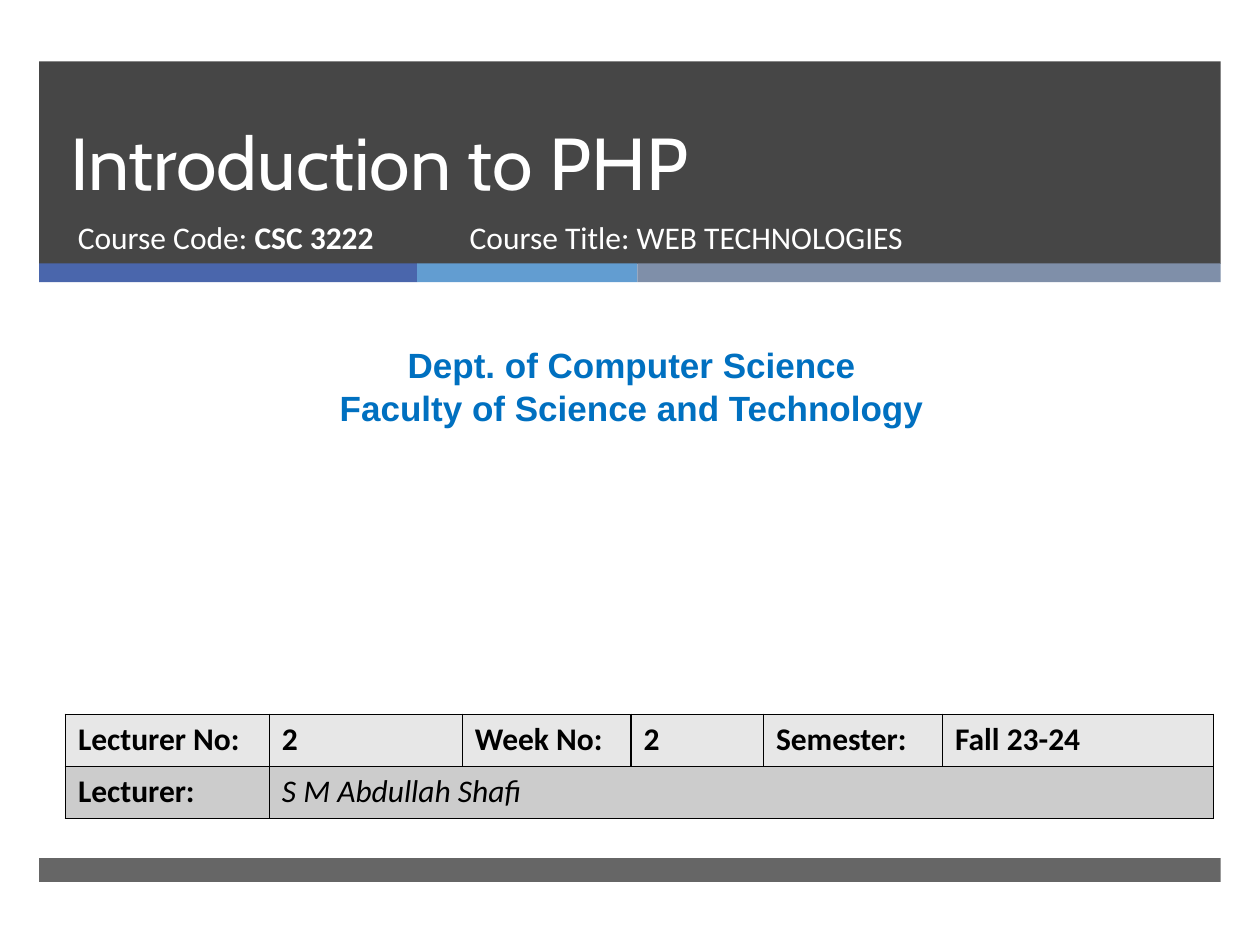
from itertools import accumulate
from typing import NamedTuple

from lxml.etree import SubElement as Sub
from pptx import Presentation
from pptx.dml.color import RGBColor as Rgb
from pptx.enum.shapes import MSO_SHAPE as Kind
from pptx.enum.text import MSO_ANCHOR as Anchor, PP_ALIGN as Align
from pptx.oxml.ns import qn
from pptx.util import Cm, Pt

HUES = {
    "dark": "262626", "blue": "4A66AC", "sky": "629DD1", "slate": "7F8FA9",
    "white": "FFFFFF", "azure": "0070C0", "black": "000000",
    "light": "E7E7E7", "gray": "CCCCCC",
}
LEFT, WIDTH = 0.79, 23.82


class Bar(NamedTuple):
    left: float
    top: float
    width: float
    height: float
    hue: str
    alpha: int = 100


class Run(NamedTuple):
    text: str
    bold: bool = False


class Label(NamedTuple):
    left: float
    top: float
    width: float
    height: float
    lines: list[list[Run]]
    font: str
    size: int
    hue: str = "white"
    align: Align = Align.LEFT
    anchor: Anchor = Anchor.TOP
    space: int | None = None


def color(hue: str) -> Rgb:
    return Rgb.from_string(HUES[hue])


def style(font, name: str, size: int, hue: str) -> None:
    font.name, font.size = name, Pt(size)
    font.color.rgb = color(hue)


def draw_bar(slide, bar: Bar) -> None:
    shape = slide.shapes.add_shape(Kind.RECTANGLE, *map(Cm, bar[:4]))
    shape.shadow.inherit = False
    shape.line.fill.background()
    shape.fill.solid()
    shape.fill.fore_color.rgb = color(bar.hue)
    if bar.alpha < 100:
        tint = shape.fill._xPr.find(".//" + qn("a:srgbClr"))
        Sub(tint, qn("a:alpha"), val=str(bar.alpha * 1000))


def draw_label(slide, label: Label) -> None:
    frame = slide.shapes.add_textbox(*map(Cm, label[:4])).text_frame
    frame.word_wrap = True
    frame.vertical_anchor = label.anchor
    for i, line in enumerate(label.lines):
        para = frame.add_paragraph() if i else frame.paragraphs[0]
        para.alignment = label.align
        if label.space:
            para.line_spacing = Pt(label.space)
        style(para.font, label.font, label.size, label.hue)
        for part in line:
            run = para.add_run()
            run.text, run.font.bold = part.text, part.bold


def draw_edges(cell) -> None:
    props = cell._tc.get_or_add_tcPr()
    for side in "LRTB":
        edge = Sub(props, qn(f"a:ln{side}"), w=str(Pt(1)))
        fill = Sub(edge, qn("a:solidFill"))
        Sub(fill, qn("a:srgbClr"), val=HUES["black"])


def draw_table(slide, rows: list[list[str]], cols: list[float]) -> None:
    high = 1.05
    table = slide.shapes.add_table(
        len(rows), len(cols), Cm(1.32), Cm(14.4),
        Cm(sum(cols)), Cm(high * len(rows))).table
    table.first_row = table.horz_banding = False
    for col, width in zip(table.columns, cols):
        col.width = Cm(width)
    for r, (row, hue) in enumerate(zip(rows, ("light", "gray"))):
        table.rows[r].height = Cm(high)
        for c in range(len(cols)):
            cell = table.cell(r, c)
            draw_edges(cell)
            cell.fill.solid()
            cell.fill.fore_color.rgb = color(hue)
            if c < len(row):
                cell.text = row[c]
                font = cell.text_frame.paragraphs[0].font
                style(font, "Calibri", 18, "black")
                font.bold = True
    name = table.cell(1, 1)
    name.merge(table.cell(1, len(cols) - 1))
    font = name.text_frame.paragraphs[0].font
    font.bold, font.italic = False, True


deck = Presentation()
deck.slide_width, deck.slide_height = Cm(25.4), Cm(19.05)
slide = deck.slides.add_slide(deck.slide_layouts[6])

parts = [7.62, 4.44, 11.76]
lefts = accumulate(parts[:-1], initial=LEFT)
strip = [Bar(x, 5.31, w, 0.38, hue)
         for x, w, hue in zip(lefts, parts, ("blue", "sky", "slate"))]
bars = [Bar(LEFT, 1.24, WIDTH, 4.08, "dark", 85), *strip,
        Bar(LEFT, 17.3, WIDTH, 0.48, "dark", 70)]
for bar in bars:
    draw_bar(slide, bar)

labels = [
    Label(1.17, 1.24, 21.69, 3.02, [[Run("Introduction to PHP")]],
          "Cabin", 42, anchor=Anchor.BOTTOM, space=46),
    Label(1.32, 4.27, 7.75, 1.35,
          [[Run("Course Code: "), Run("CSC 3222", True)]], "Calibri", 18),
    Label(9.22, 4.27, 11.56, 1.35,
          [[Run("Course Title: WEB TECHNOLOGIES")]], "Calibri", 18),
    Label(0.2, 6.81, 25.07, 1.96,
          [[Run("Dept. of Computer Science", True)],
           [Run("Faculty of Science and Technology", True)]],
          "Arial", 20, "azure", Align.CENTER),
]
for label in labels:
    draw_label(slide, label)

draw_table(slide, [
    ["Lecturer No:", "2", "Week No:", "2", "Semester:", "Fall 23-24"],
    ["Lecturer:", "S M Abdullah Shafi"],
], [4.11, 3.89, 3.4, 2.67, 3.61, 5.46])

deck.save("out.pptx")
